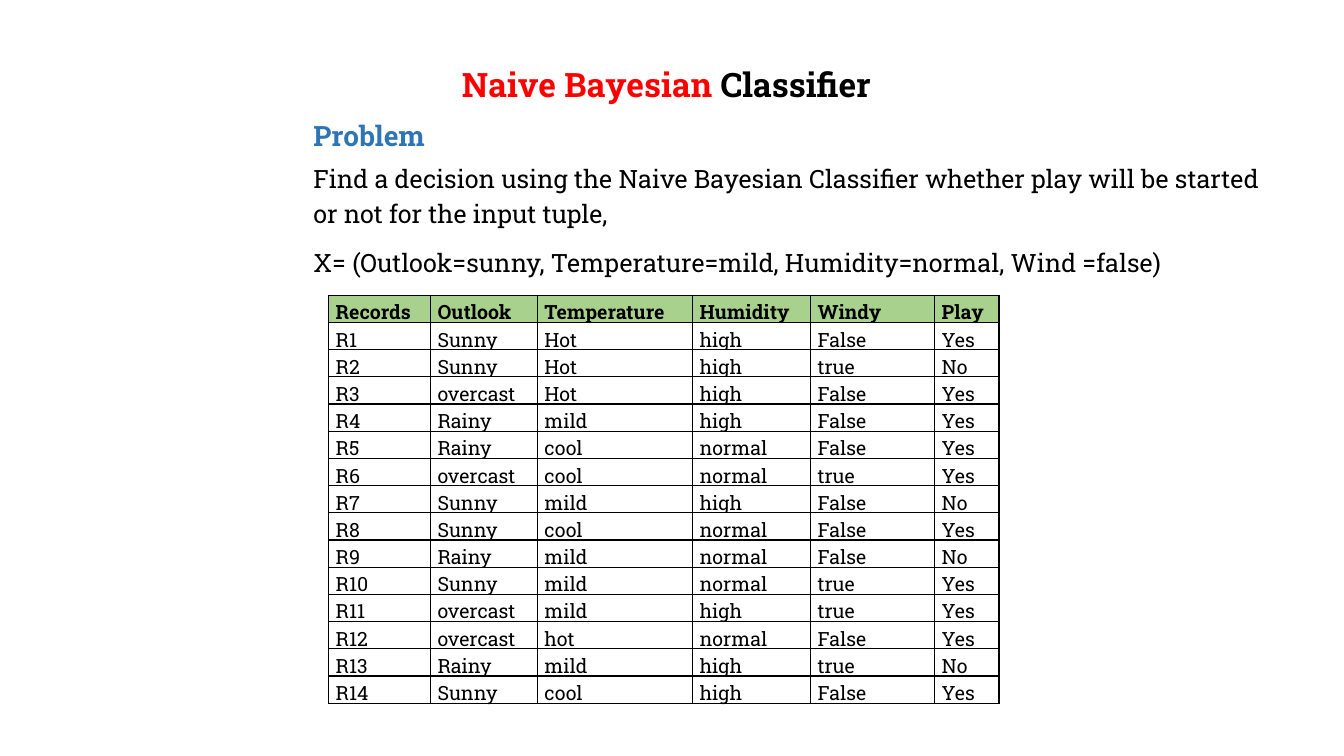
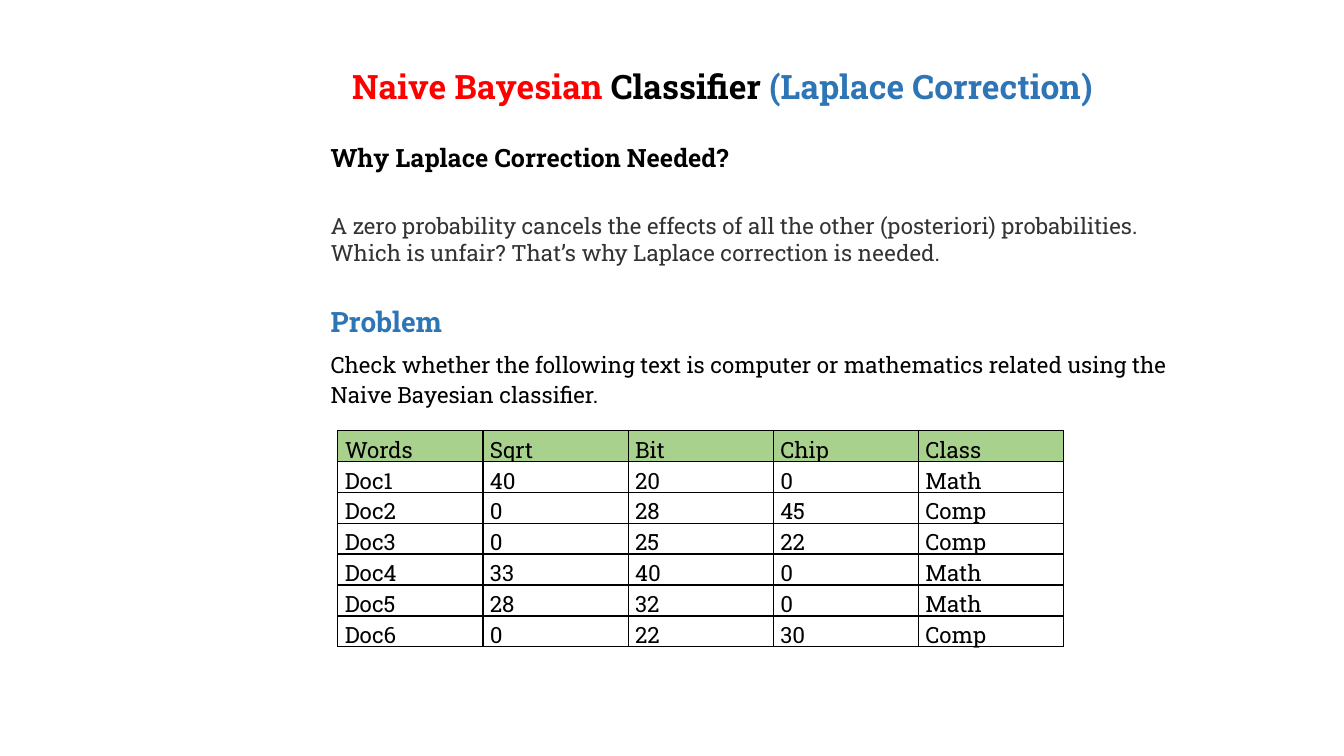
"""Build two slides on the naive Bayesian classifier."""
from pptx import Presentation
from pptx.dml.color import RGBColor
from pptx.enum.text import MSO_ANCHOR as Anchor, PP_ALIGN as Align
from pptx.oxml import parse_xml
from pptx.oxml.ns import nsdecls
from pptx.util import Inches, Pt

FONT = "Roboto Slab"
RED = RGBColor(0xFF, 0x00, 0x00)
BLUE = RGBColor(0x2E, 0x75, 0xB6)
BLACK = RGBColor(0x00, 0x00, 0x00)
GRAY = RGBColor(0x33, 0x33, 0x33)
GREEN = RGBColor(0xA9, 0xD1, 0x8E)
WHITE = RGBColor(0xFF, 0xFF, 0xFF)
SPACING = 1.15

PLAY = """Records Outlook Temperature Humidity Windy Play
R1 Sunny Hot high False Yes
R2 Sunny Hot high true No
R3 overcast Hot high False Yes
R4 Rainy mild high False Yes
R5 Rainy cool normal False Yes
R6 overcast cool normal true Yes
R7 Sunny mild high False No
R8 Sunny cool normal False Yes
R9 Rainy mild normal False No
R10 Sunny mild normal true Yes
R11 overcast mild high true Yes
R12 overcast hot normal False Yes
R13 Rainy mild high true No
R14 Sunny cool high False Yes"""

DOCS = """Words Sqrt Bit Chip Class
Doc1 40 20 0 Math
Doc2 0 28 45 Comp
Doc3 0 25 22 Comp
Doc4 33 40 0 Math
Doc5 28 32 0 Math
Doc6 0 22 30 Comp"""


def add_run(para, text, size, color=BLACK, bold=False):
    """Append one styled run to a paragraph."""
    run = para.add_run()
    run.text = text
    font = run.font
    font.name, font.size, font.bold = FONT, Pt(size), bold
    font.color.rgb = color


def add_title(slide, left, top, width, tail=""):
    """Place the title and colour its parts."""
    title = slide.shapes.title
    title.left, title.top = Inches(left), Inches(top)
    title.width, title.height = Inches(width), Inches(0.57)
    frame = title.text_frame
    frame.word_wrap = True
    frame.vertical_anchor = Anchor.TOP
    para = frame.paragraphs[0]
    para.alignment = Align.CENTER
    para.line_spacing = SPACING
    add_run(para, "Naive Bayesian ", 24, RED, True)
    add_run(para, "Classifier ", 24, BLACK, True)
    if tail:
        add_run(para, tail, 24, BLUE, True)


def add_box(slide, left, top, width, height):
    """Add a wrapping text box and return its frame."""
    box = slide.shapes.add_textbox(
        Inches(left), Inches(top), Inches(width), Inches(height))
    box.text_frame.word_wrap = True
    return box.text_frame


def add_body(slide, left, top, width, height, size, lines):
    """Add a box of plain paragraphs."""
    frame = add_box(slide, left, top, width, height)
    for i, line in enumerate(lines):
        para = frame.add_paragraph() if i else frame.paragraphs[0]
        para.line_spacing, para.space_after = SPACING, Pt(10)
        add_run(para, line, size)


def add_head(slide, left, top):
    """Add the blue heading above a task."""
    para = add_box(slide, left, top, 1.4, 0.46).paragraphs[0]
    para.line_spacing = SPACING
    add_run(para, "Problem", 20, BLUE, True)


def add_reason(slide):
    """Add the question on the correction and its answer."""
    frame = add_box(slide, 3.18, 1.36, 8.21, 1.32)
    ask, reply = frame.paragraphs[0], frame.add_paragraph()
    ask.alignment = reply.alignment = Align.JUSTIFY
    ask.space_after = Pt(28.7)
    add_run(ask, "Why Laplace Correction Needed?", 18, bold=True)
    add_run(reply, "A zero probability cancels the effects of all the other "
            "(posteriori) probabilities. Which is unfair? That’s why Laplace "
            "correction is needed.", 16, GRAY)


def add_edges(cell):
    """Draw a thin black line on all four sides of a cell."""
    props = cell._tc.get_or_add_tcPr()
    for side in "LRTB":
        props.append(parse_xml(
            f'<a:ln{side} {nsdecls("a")} w="{Pt(1)}"><a:solidFill>'
            f'<a:srgbClr val="{BLACK}"/></a:solidFill></a:ln{side}>'))


def fill_cell(cell, text, size, color, bold):
    """Style one cell and write its text."""
    cell.margin_left = cell.margin_right = Inches(0.07)
    cell.margin_top = cell.margin_bottom = 0
    add_edges(cell)
    cell.fill.solid()
    cell.fill.fore_color.rgb = color
    para = cell.text_frame.paragraphs[0]
    para.line_spacing = SPACING
    add_run(para, text, size, BLACK, bold)


def add_grid(slide, left, top, widths, height, data, size, bold):
    """Add a table with a green header row."""
    rows = [line.split() for line in data.splitlines()]
    table = slide.shapes.add_table(
        len(rows), len(widths), Inches(left), Inches(top),
        Inches(sum(widths)), Inches(height * len(rows))).table
    table.first_row = table.horz_banding = False
    for col, width in zip(table.columns, widths):
        col.width = Inches(width)
    for r, row in enumerate(rows):
        table.rows[r].height = Inches(height)
        for c, text in enumerate(row):
            fill_cell(table.cell(r, c), text, size,
                      WHITE if r else GREEN, bold and r == 0)


def make_play(slide):
    """Fill the slide on the play decision."""
    add_title(slide, 3.39, 0.52, 6.52)
    add_head(slide, 3.01, 1.08)
    add_body(slide, 3.01, 1.53, 9.74, 1.26, 18, [
        "Find a decision using the Naive Bayesian Classifier whether play "
        "will be started or not for the input tuple,",
        "X= (Outlook=sunny, Temperature=mild, Humidity=normal, Wind =false)"])
    add_grid(slide, 3.26, 2.93, [1.01, 1.06, 1.54, 1.17, 1.23, 0.64],
             0.27, PLAY, 14, True)


def make_docs(slide):
    """Fill the slide on the Laplace correction."""
    add_title(slide, 2.94, 0.54, 8.45, "(Laplace Correction)")
    add_reason(slide)
    add_head(slide, 3.18, 2.92)
    add_body(slide, 3.18, 3.39, 8.73, 0.7, 16, [
        "Check whether the following text is computer or mathematics related "
        "using the Naive Bayesian classifier."])
    add_grid(slide, 3.35, 4.27, [1.44] * 5, 0.3, DOCS, 16, False)


def main():
    """Build and save the deck."""
    deck = Presentation()
    deck.slide_width, deck.slide_height = Inches(13.33), Inches(7.5)
    for make in (make_play, make_docs):
        make(deck.slides.add_slide(deck.slide_layouts[5]))
    deck.save("out.pptx")


if __name__ == "__main__":
    main()
